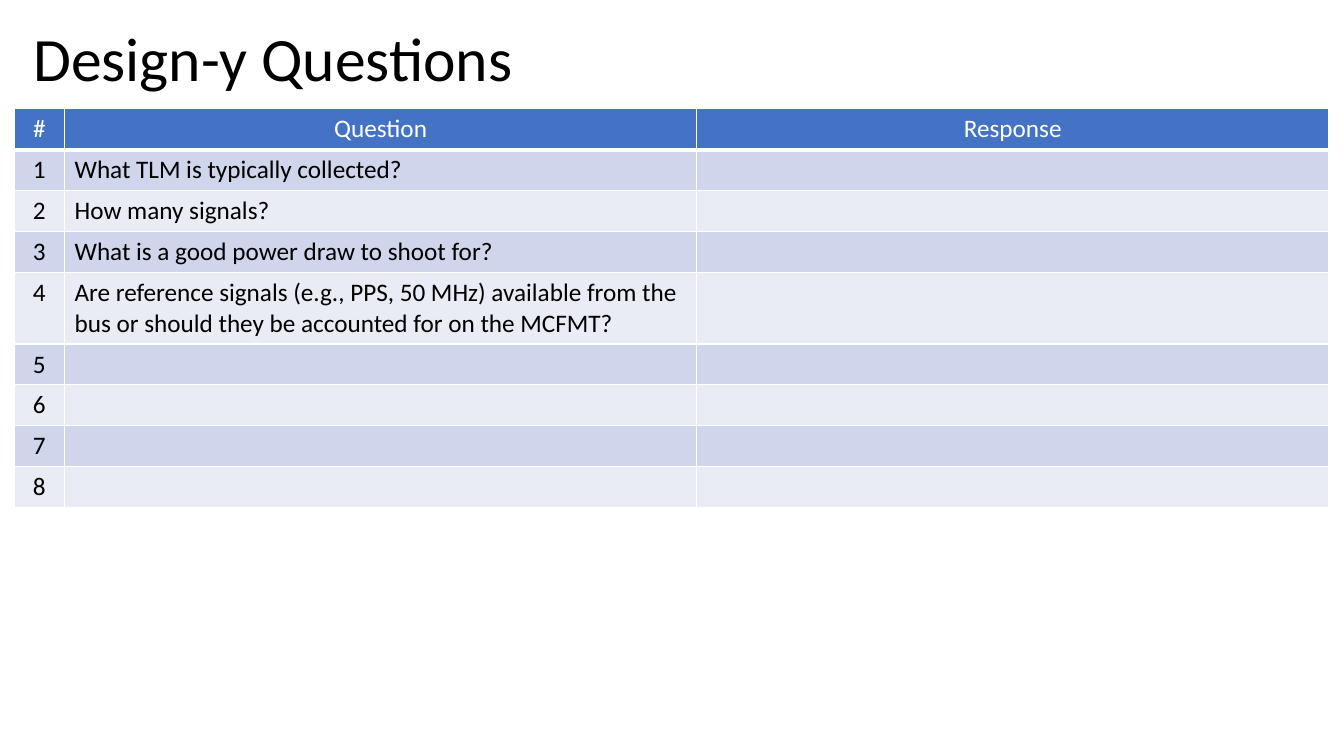
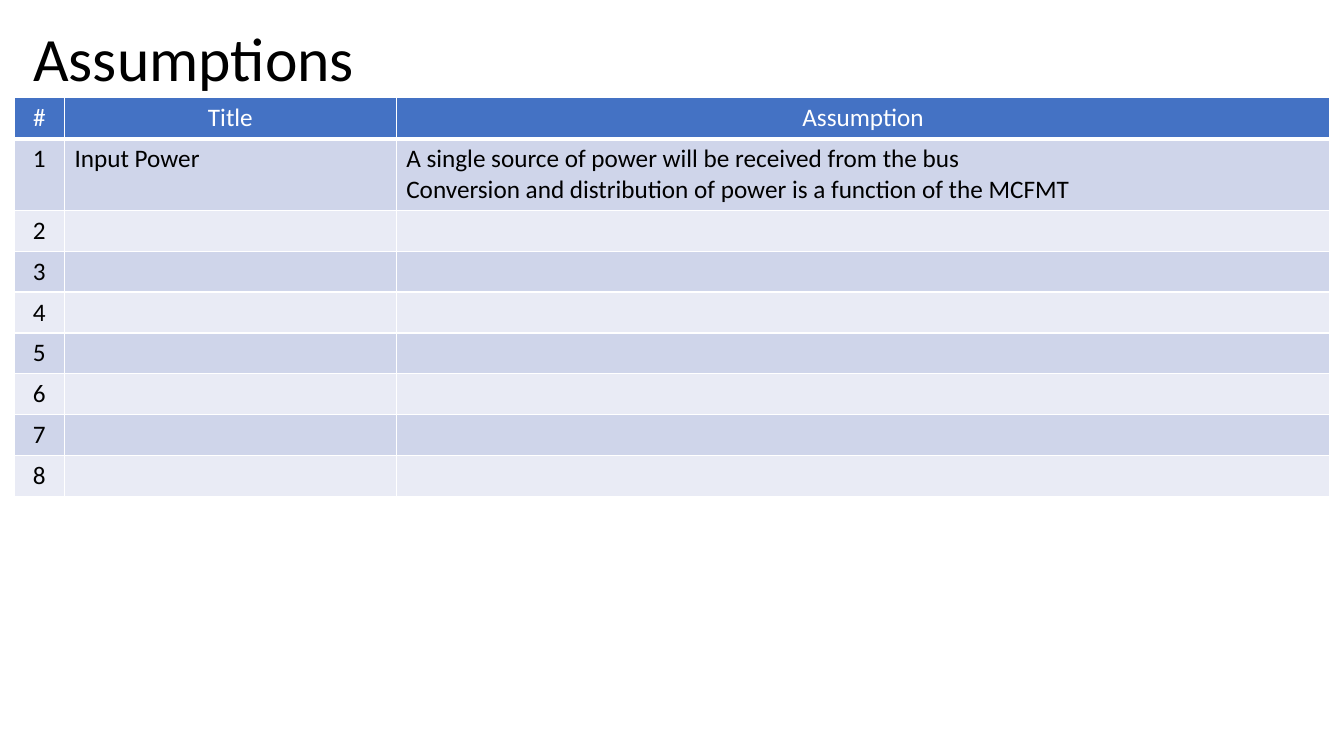
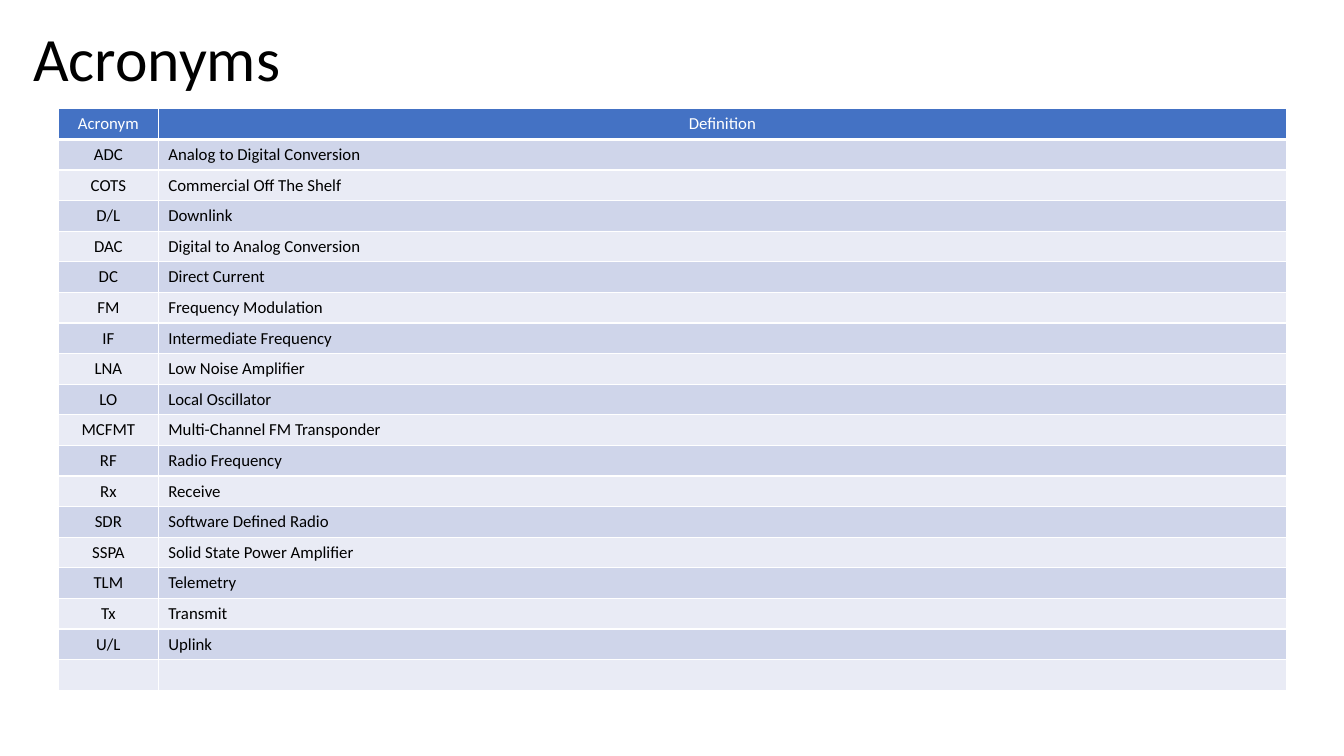
from dataclasses import dataclass

from lxml import etree
from pptx import Presentation
from pptx import util as u
from pptx.dml import color
from pptx.enum import text
from pptx.oxml import ns


@dataclass(frozen=True)
class Theme:
    font: str = "Calibri"
    ink: str = "000000"
    paper: str = "FFFFFF"
    header: str = "4472C4"
    bands: tuple = ("CFD5EA", "E9EBF5")
    title_size: int = 44
    table_size: int = 18
    small_size: int = 12
    rule: float = 1
    header_rule: float = 3


def apply(target, values):
    for name, value in values.items():
        setattr(target, name, value)


class Deck:
    """Build titled slides with banded tables in one shared style."""

    def __init__(self, theme):
        self.theme = theme
        self.presentation = Presentation()
        apply(self.presentation, {"slide_width": u.Inches(13.33), "slide_height": u.Inches(7.5)})
        self.slide = None

    def style_font(self, font, size, colour):
        apply(font, {"name": self.theme.font, "size": u.Pt(size), "bold": False})
        font.color.rgb = color.RGBColor.from_string(colour)

    def add_slide(self, title):
        self.slide = self.presentation.slides.add_slide(self.presentation.slide_layouts[5])
        shape = self.slide.shapes.title
        apply(shape, {"left": u.Inches(0.23), "top": u.Inches(0.15),
                      "width": u.Inches(12.9), "height": u.Inches(0.93)})
        frame = shape.text_frame
        frame.text = title
        apply(frame, {"vertical_anchor": text.MSO_ANCHOR.MIDDLE, "word_wrap": True,
                      "auto_size": text.MSO_AUTO_SIZE.NONE})
        paragraph = frame.paragraphs[0]
        apply(paragraph, {"alignment": text.PP_ALIGN.LEFT, "line_spacing": 0.9})
        self.style_font(paragraph.runs[0].font, self.theme.title_size, self.theme.ink)

    def add_borders(self, cell, bottom_width):
        properties = cell._tc.get_or_add_tcPr()
        widths = {"L": self.theme.rule, "R": self.theme.rule, "T": self.theme.rule, "B": bottom_width}
        for index, (side, width) in enumerate(widths.items()):
            line = etree.Element(ns.qn(f"a:ln{side}"), w=str(u.Pt(width)))
            fill = etree.SubElement(line, ns.qn("a:solidFill"))
            etree.SubElement(fill, ns.qn("a:srgbClr"), val=self.theme.paper)
            properties.insert(index, line)

    def fill_cell(self, cell, content, size, is_header, centred, band):
        theme = self.theme
        cell.text = content
        cell.fill.solid()
        cell.fill.fore_color.rgb = color.RGBColor.from_string(theme.header if is_header else band)
        self.add_borders(cell, theme.header_rule if is_header else theme.rule)
        for paragraph in cell.text_frame.paragraphs:
            paragraph.alignment = text.PP_ALIGN.CENTER if centred else text.PP_ALIGN.LEFT
            for run in paragraph.runs:
                self.style_font(run.font, size, theme.paper if is_header else theme.ink)
            if not paragraph.runs:
                etree.SubElement(paragraph._p, ns.qn("a:endParaRPr"), sz=str(size * 100))

    def add_table(self, left, top, widths, row_height, rows, size):
        frame = self.slide.shapes.add_table(
            len(rows), len(widths), u.Inches(left), u.Inches(top),
            u.Inches(sum(widths)), u.Inches(row_height * len(rows)))
        table = frame.table
        for column, width in zip(table.columns, widths):
            column.width = u.Inches(width)
        for row_index, values in enumerate(rows):
            table.rows[row_index].height = u.Inches(row_height)
            is_header = row_index == 0
            band = self.theme.bands[(row_index - 1) % 2]
            for column_index, content in enumerate(values):
                self.fill_cell(table.cell(row_index, column_index), content, size,
                               is_header, is_header or column_index == 0, band)


def numbered(header, entries, count=8):
    padded = entries + [("", "")] * (count - len(entries))
    return [("#", *header)] + [(str(number), *entry) for number, entry in enumerate(padded, 1)]


QUESTIONS = [
    ("What TLM is typically collected?", ""),
    ("How many signals?", ""),
    ("What is a good power draw to shoot for?", ""),
    ("Are reference signals (e.g., PPS, 50 MHz) available from the bus "
     "or should they be accounted for on the MCFMT?", ""),
]

ASSUMPTIONS = [
    ("Input Power", "A single source of power will be received from the bus\n"
                    "Conversion and distribution of power is a function of the MCFMT"),
]

ACRONYMS = [
    ("Acronym", "Definition"),
    ("ADC", "Analog to Digital Conversion"),
    ("COTS", "Commercial Off The Shelf"),
    ("D/L", "Downlink"),
    ("DAC", "Digital to Analog Conversion"),
    ("DC", "Direct Current"),
    ("FM", "Frequency Modulation"),
    ("IF", "Intermediate Frequency"),
    ("LNA", "Low Noise Amplifier"),
    ("LO", "Local Oscillator"),
    ("MCFMT", "Multi-Channel FM Transponder"),
    ("RF", "Radio Frequency"),
    ("Rx", "Receive"),
    ("SDR", "Software Defined Radio"),
    ("SSPA", "Solid State Power Amplifier"),
    ("TLM", "Telemetry"),
    ("Tx", "Transmit"),
    ("U/L", "Uplink"),
    ("", ""),
]


def main():
    theme = Theme()
    deck = Deck(theme)

    deck.add_slide("Design-y Questions")
    deck.add_table(0.14, 1.08, (0.5, 6.27, 6.27), 0.4,
                   numbered(("Question", "Response"), QUESTIONS), theme.table_size)

    deck.add_slide("Assumptions")
    deck.add_table(0.14, 0.97, (0.5, 3.29, 9.26), 0.4,
                   numbered(("Title", "Assumption"), ASSUMPTIONS), theme.table_size)

    deck.add_slide("Acronyms")
    deck.add_table(0.58, 1.08, (0.99, 11.19), 0.3, ACRONYMS, theme.small_size)

    deck.presentation.save("out.pptx")


if __name__ == "__main__":
    main()
